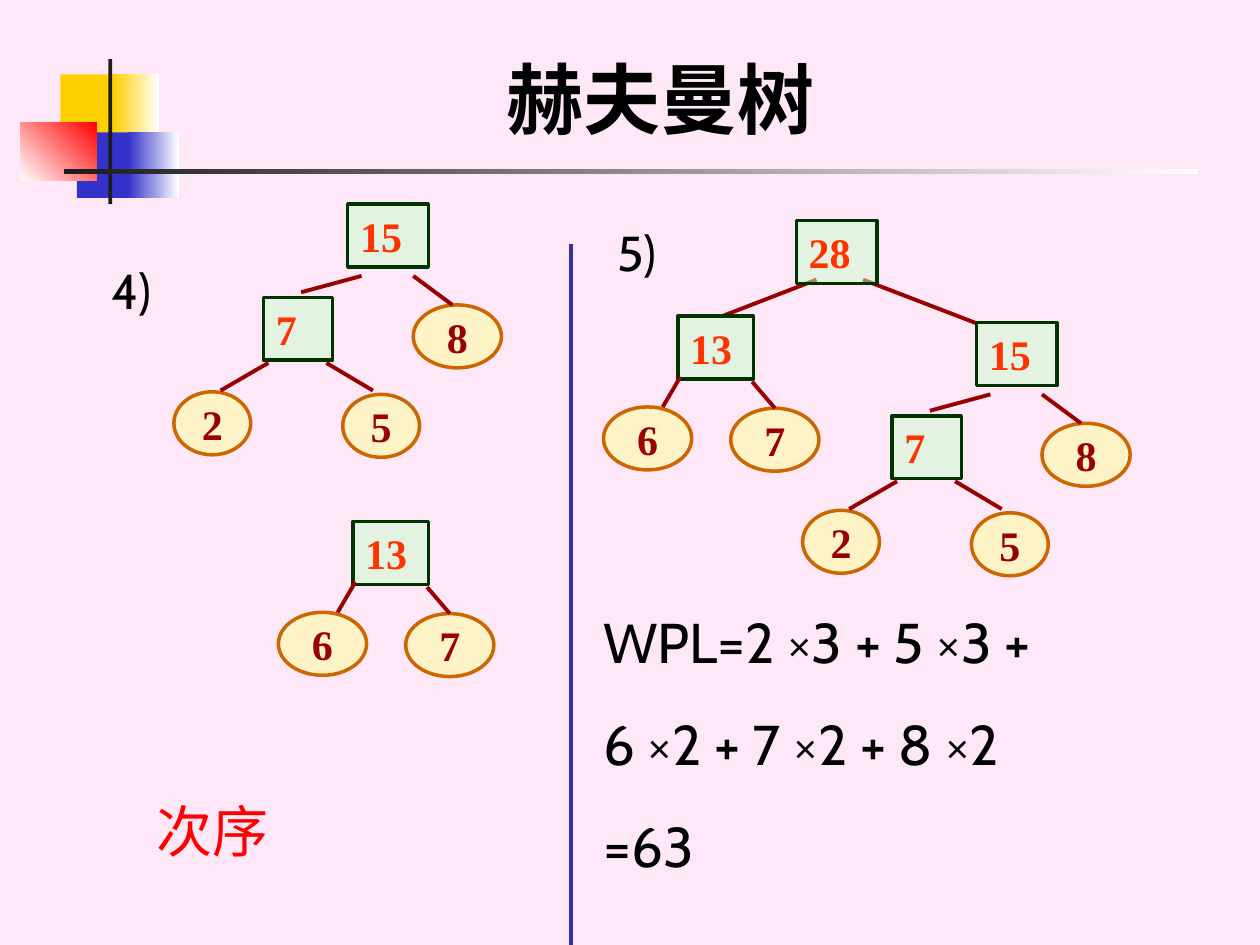
from lxml.etree import SubElement
from pptx import Presentation
from pptx.dml.color import RGBColor
from pptx.enum.shapes import MSO_CONNECTOR, MSO_SHAPE
from pptx.enum.text import MSO_ANCHOR, PP_ALIGN
from pptx.oxml.ns import qn
from pptx.util import Inches, Pt

PINK = RGBColor(0xFE, 0xE8, 0xF7)
BLACK = RGBColor(0, 0, 0)
WHITE = RGBColor(0xFF, 0xFF, 0xFF)
RED = RGBColor(0xFF, 0, 0)
GOLD = RGBColor(0xFF, 0xCF, 0x01)
BLUE = RGBColor(0x33, 0x33, 0xCC)
INK = RGBColor(0x1C, 0x1C, 0x1C)
NAVY = RGBColor(0x33, 0x33, 0x99)
MAROON = RGBColor(0x99, 0, 0)
ORANGE = RGBColor(0xFF, 0x33, 0)
RUST = RGBColor(0xCC, 0x66, 0)
CREAM = RGBColor(0xFF, 0xFF, 0x99)
MINT = RGBColor(0xCC, 0xFF, 0xCC)
FOREST = RGBColor(0, 0x33, 0)

LEAF = {"kind": MSO_SHAPE.OVAL, "fill": CREAM, "line": RUST, "ink": MAROON,
        "align": PP_ALIGN.CENTER, "anchor": MSO_ANCHOR.MIDDLE, "wrap": False}
INNER = {"kind": MSO_SHAPE.RECTANGLE, "fill": MINT, "line": FOREST, "ink": ORANGE,
         "align": PP_ALIGN.LEFT, "anchor": MSO_ANCHOR.TOP, "wrap": True}
NODE_H = 0.5


def style(font, **values):
    for name, value in values.items():
        if name == "color":
            font.color.rgb = value
        else:
            setattr(font, name, value)


def add_text(slide, box, lines, size, color=BLACK, bold=False,
             align=PP_ALIGN.LEFT, gap=0):
    frame = slide.shapes.add_textbox(*map(Inches, box)).text_frame
    frame.word_wrap = True
    for i, line in enumerate(lines):
        para = frame.add_paragraph() if i else frame.paragraphs[0]
        para.alignment = align
        if i:
            para.space_before = Pt(gap)
        run = para.add_run()
        run.text = line
        style(run.font, name="Cabin", size=Pt(size), bold=bold, color=color)


def add_line(slide, start, end, color=MAROON):
    line = slide.shapes.add_connector(
        MSO_CONNECTOR.STRAIGHT, *map(Inches, (*start, *end)))
    line.line.color.rgb = color
    line.line.width = Pt(2.25)
    SubElement(line._element.spPr, qn("a:effectLst"))


def add_node(slide, left, top, width, text, look):
    node = slide.shapes.add_shape(
        look["kind"], *map(Inches, (left, top, width, NODE_H)))
    node.shadow.inherit = False
    node.fill.solid()
    node.fill.fore_color.rgb = look["fill"]
    # Half transparent fill
    tint = node._element.spPr.find(qn("a:solidFill"))[0]
    SubElement(tint, qn("a:alpha"), val="50000")
    node.line.color.rgb = look["line"]
    node.line.width = Pt(2)
    frame = node.text_frame
    frame.word_wrap = look["wrap"]
    frame.vertical_anchor = look["anchor"]
    para = frame.paragraphs[0]
    para.alignment = look["align"]
    run = para.add_run()
    run.text = text
    style(run.font, name="Times New Roman", size=Pt(24), bold=True,
          color=look["ink"])


def add_tree(slide, left, top, nodes, edges):
    for x, y, width, text, look in nodes:
        add_node(slide, left + x, top + y, width, text, look)
    for x1, y1, x2, y2 in edges:
        add_line(slide, (left + x1, top + y1), (left + x2, top + y2))


def tree_13(slide, left, top):
    add_tree(slide, left, top,
             [(0, 0.72, 0.7, "6", LEAF), (1.01, 0.73, 0.7, "7", LEAF),
              (0.59, 0, 0.6, "13", INNER)],
             [(0.61, 0.48, 0.47, 0.72), (1.18, 0.52, 1.36, 0.73)])


def tree_15(slide, left, top):
    add_tree(slide, left, top,
             [(1.9, 0.8, 0.7, "8", LEAF), (1.34, 1.51, 0.61, "5", LEAF),
              (0, 1.49, 0.61, "2", LEAF), (0.71, 0.74, 0.55, "7", INNER),
              (1.38, 0, 0.64, "15", INNER)],
             [(0.75, 1.26, 0.37, 1.48), (1.21, 1.26, 1.58, 1.48),
              (1.9, 0.57, 2.21, 0.8), (1.49, 0.57, 1.01, 0.7)])


def tree_28(slide, left, top):
    # Edges lie beneath the half transparent root
    add_line(slide, (left + 1.69, top + 0.47), (left + 0.94, top + 0.76))
    add_line(slide, (left + 2.06, top + 0.47), (left + 2.97, top + 0.82))
    tree_15(slide, left + 1.58, top + 0.81)
    tree_13(slide, left, top + 0.76)
    add_node(slide, left + 1.53, top, 0.64, "28", INNER)


def add_motif(slide, left, top):
    # x, y, width, height, colours from start to end, angle
    parts = [(0.32, 0.12, 0.48, 0.52, [GOLD], 0),
             (0.74, 0.12, 0.36, 0.52, [GOLD, WHITE], 0),
             (0.45, 0.58, 0.46, 0.52, [BLUE], 0),
             (0.86, 0.58, 0.4, 0.52, [BLUE, WHITE], 0),
             (0, 0.5, 0.61, 0.46, [WHITE, RED], 45),
             (0.7, 0, 0.03, 1.15, [INK], 0),
             (0.35, 0.87, 9, 0.04, [INK, WHITE], 0)]
    for x, y, width, height, colors, angle in parts:
        block = slide.shapes.add_shape(
            MSO_SHAPE.RECTANGLE, *map(Inches, (left + x, top + y, width, height)))
        block.shadow.inherit = False
        block.line.fill.background()
        if len(colors) == 1:
            block.fill.solid()
            block.fill.fore_color.rgb = colors[0]
            continue
        block.fill.gradient()
        block.fill.gradient_angle = angle
        for i, stop in enumerate(block.fill.gradient_stops):
            stop.position = i
            stop.color.rgb = colors[i]


def add_left(slide, left, top):
    add_text(slide, (left, top + 0.4, 0.79, 0.57), ["4)"], 28)
    tree_15(slide, left + 0.59, top)
    tree_13(slide, left + 1.42, top + 2.52)
    add_text(slide, (left + 0.35, top + 4.65, 1.5, 0.64), ["次序"], 32, RED)


def add_right(slide, left, top):
    add_text(slide, (left + 0.11, top, 0.79, 0.57), ["5)"], 28)
    tree_28(slide, left + 0.1, top + 0.03)
    add_text(slide, (left, top + 3.05, 4.8, 2.26),
             ["WPL=2 ×3 + 5 ×3 +", "6 ×2 + 7 ×2 + 8 ×2", "=63"], 32, gap=20)


def main():
    deck = Presentation()
    deck.slide_width, deck.slide_height = Inches(10), Inches(7.5)
    slide = deck.slides.add_slide(deck.slide_layouts[6])
    slide.background.fill.solid()
    slide.background.fill.fore_color.rgb = PINK
    add_motif(slide, 0.16, 0.47)
    add_text(slide, (0.83, 0.36, 8.83, 0.84), ["赫夫曼树"], 44, bold=True,
             align=PP_ALIGN.CENTER)
    add_left(slide, 0.79, 1.62)
    add_line(slide, (4.53, 1.94), (4.53, 7.5), NAVY)
    add_right(slide, 4.69, 1.72)
    deck.save("out.pptx")


if __name__ == "__main__":
    main()
